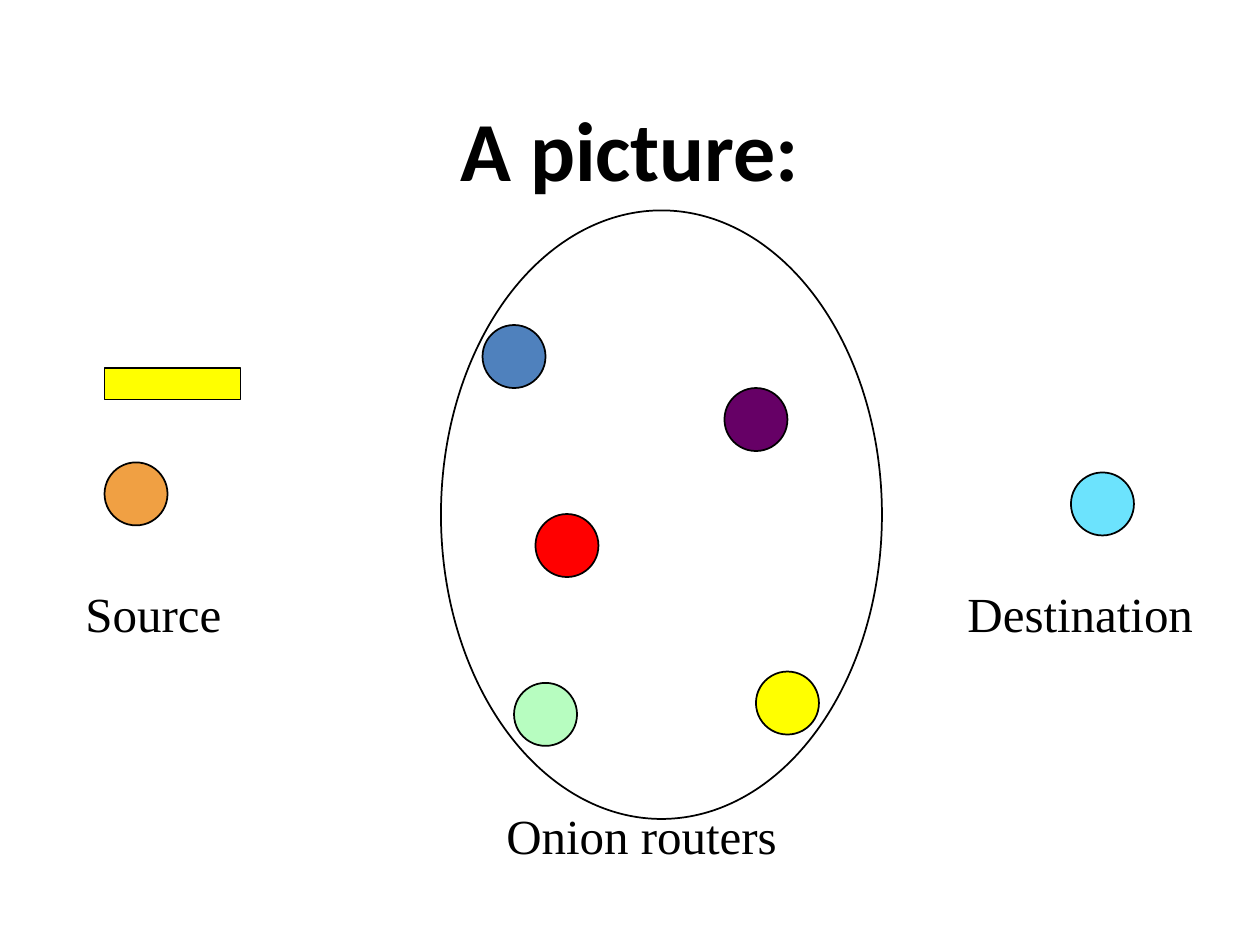
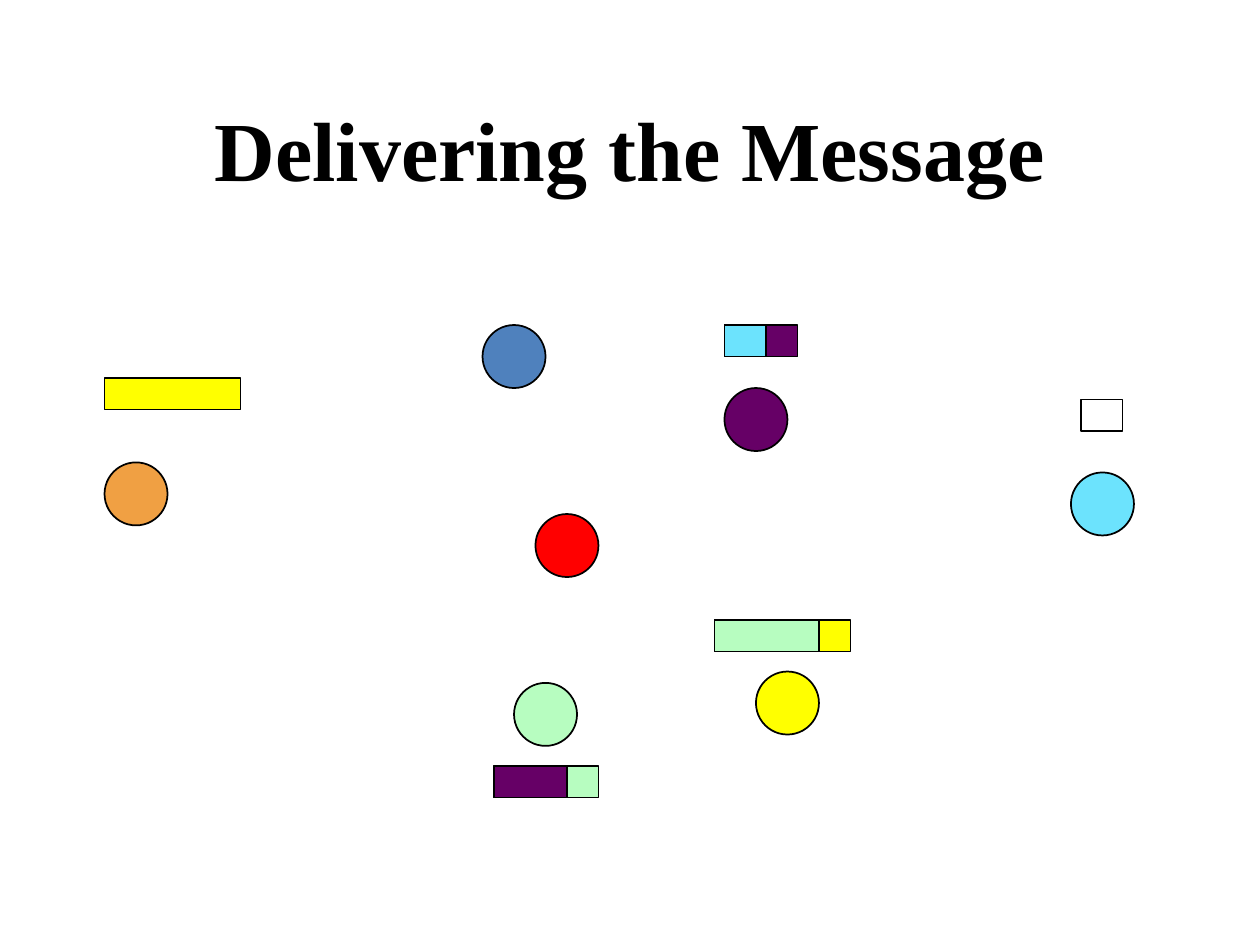
from pptx import Presentation
from pptx.dml.color import RGBColor
from pptx.enum.shapes import MSO_SHAPE as SHAPE
from pptx.enum.text import MSO_ANCHOR as ANCHOR, MSO_AUTO_SIZE as AUTO_SIZE, PP_ALIGN as ALIGN
from pptx.util import Inches, Pt

COLORS = {
    "black": "000000", "white": "FFFFFF", "blue": "4F81BD", "red": "FF0000",
    "purple": "660066", "yellow": "FFFF00", "orange": "F0A043",
    "cyan": "6CE3FD", "green": "B7FDC0",
}
SERIF = "Times New Roman"
TITLE_FORMAT = {"size": Pt(48), "bold": True}
LABEL_FORMAT = {"size": Pt(28), "bold": False}

# Network nodes, the same on both slides: left, top, colour
NODE_SIZE = 0.5
NODES = [
    (3.83, 2.58, "blue"), (4.25, 4.08, "red"), (5.75, 3.08, "purple"),
    (6, 5.33, "yellow"), (0.83, 3.67, "orange"), (8.5, 3.75, "cyan"),
    (4.08, 5.42, "green"),
]

# Each onion layer makes the packet one step wider
LAYER_WIDTHS = {
    color: 0.33 + 0.25 * depth
    for depth, color in enumerate(["cyan", "purple", "green", "yellow"])
}
LAYER_WIDTHS["white"] = 0.33
PACKET_HEIGHT = 0.25


def add_figure(slide, preset, left, top, width, height, color=None):
    figure = slide.shapes.add_shape(
        preset, Inches(left), Inches(top), Inches(width), Inches(height))
    figure.shadow.inherit = False
    if color:
        figure.fill.solid()
        figure.fill.fore_color.rgb = RGBColor.from_string(COLORS[color])
    else:
        figure.fill.background()
    figure.line.color.rgb = RGBColor.from_string(COLORS["black"])
    figure.line.width = Pt(1)


def add_text(slide, text, left, top, width, height, font_name, font_format):
    box = slide.shapes.add_textbox(
        Inches(left), Inches(top), Inches(width), Inches(height))
    paragraph = box.text_frame.paragraphs[0]
    run = paragraph.add_run()
    run.text = text
    run.font.name = font_name
    run.font.color.rgb = RGBColor.from_string(COLORS["black"])
    for attribute, value in font_format.items():
        setattr(run.font, attribute, value)
    return box.text_frame


prs = Presentation()
prs.slide_width, prs.slide_height = Inches(10), Inches(7.5)

# Titles and nodes on both slides
slides = []
for heading, heading_font in [("A picture:", "Calibri"), ("Delivering the Message", SERIF)]:
    slide = prs.slides.add_slide(prs.slide_layouts[6])
    title = add_text(slide, heading, 0.75, 0.67, 8.5, 1.25, heading_font, TITLE_FORMAT)
    title_layout = {"word_wrap": True, "vertical_anchor": ANCHOR.MIDDLE,
                    "margin_bottom": Inches(0.29)}
    for attribute, value in title_layout.items():
        setattr(title, attribute, value)
    title.paragraphs[0].alignment = ALIGN.CENTER
    for left, top, color in NODES:
        add_figure(slide, SHAPE.OVAL, left, top, NODE_SIZE, NODE_SIZE, color)
    slides.append(slide)
network, delivery = slides

# Network: labels, the router cloud and the wrapped message
for name, left, top, width in [
    ("Source", 0.58, 4.58, 1.29),
    ("Destination", 7.58, 4.58, 2.01),
    ("Onion routers", 3.92, 6.34, 2.37),
]:
    label = add_text(network, name, left, top, width, 0.57, SERIF, LABEL_FORMAT)
    label.word_wrap = False
    label.auto_size = AUTO_SIZE.SHAPE_TO_FIT_TEXT
add_figure(network, SHAPE.OVAL, 3.5, 1.67, 3.5, 4.83)
add_figure(network, SHAPE.RECTANGLE, 0.83, 2.92,
           LAYER_WIDTHS["yellow"], PACKET_HEIGHT, "yellow")

# Delivery: the packet at each hop, outer layer first
for left, top, layers in [
    (0.83, 3, ["yellow"]),
    (5.67, 4.92, ["yellow", "green"]),
    (3.92, 6.08, ["green", "purple"]),
    (5.75, 2.58, ["purple", "cyan"]),
    (8.58, 3.17, ["white"]),
]:
    for color in layers:
        add_figure(delivery, SHAPE.RECTANGLE, left, top,
                   LAYER_WIDTHS[color], PACKET_HEIGHT, color)

prs.save("out.pptx")
